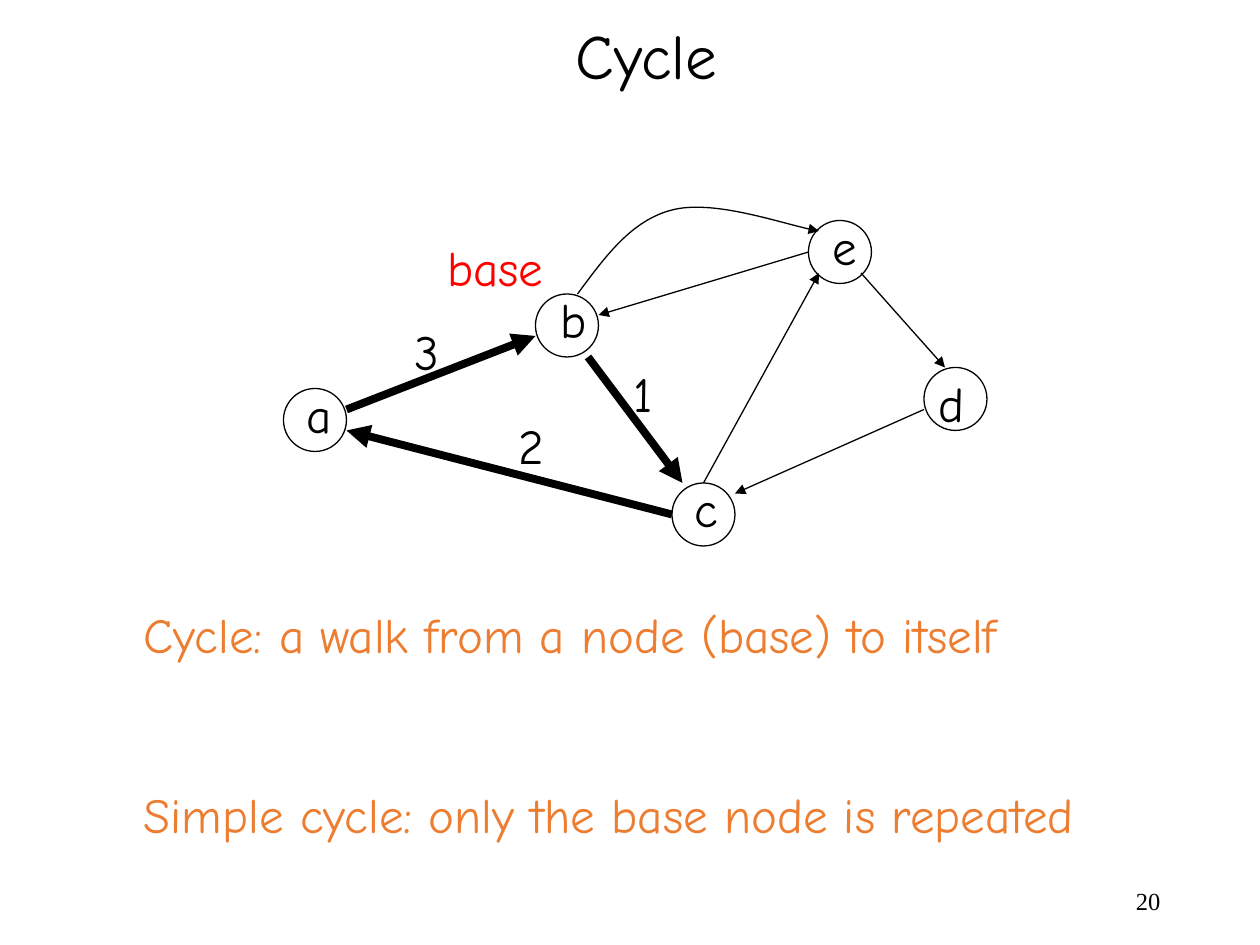
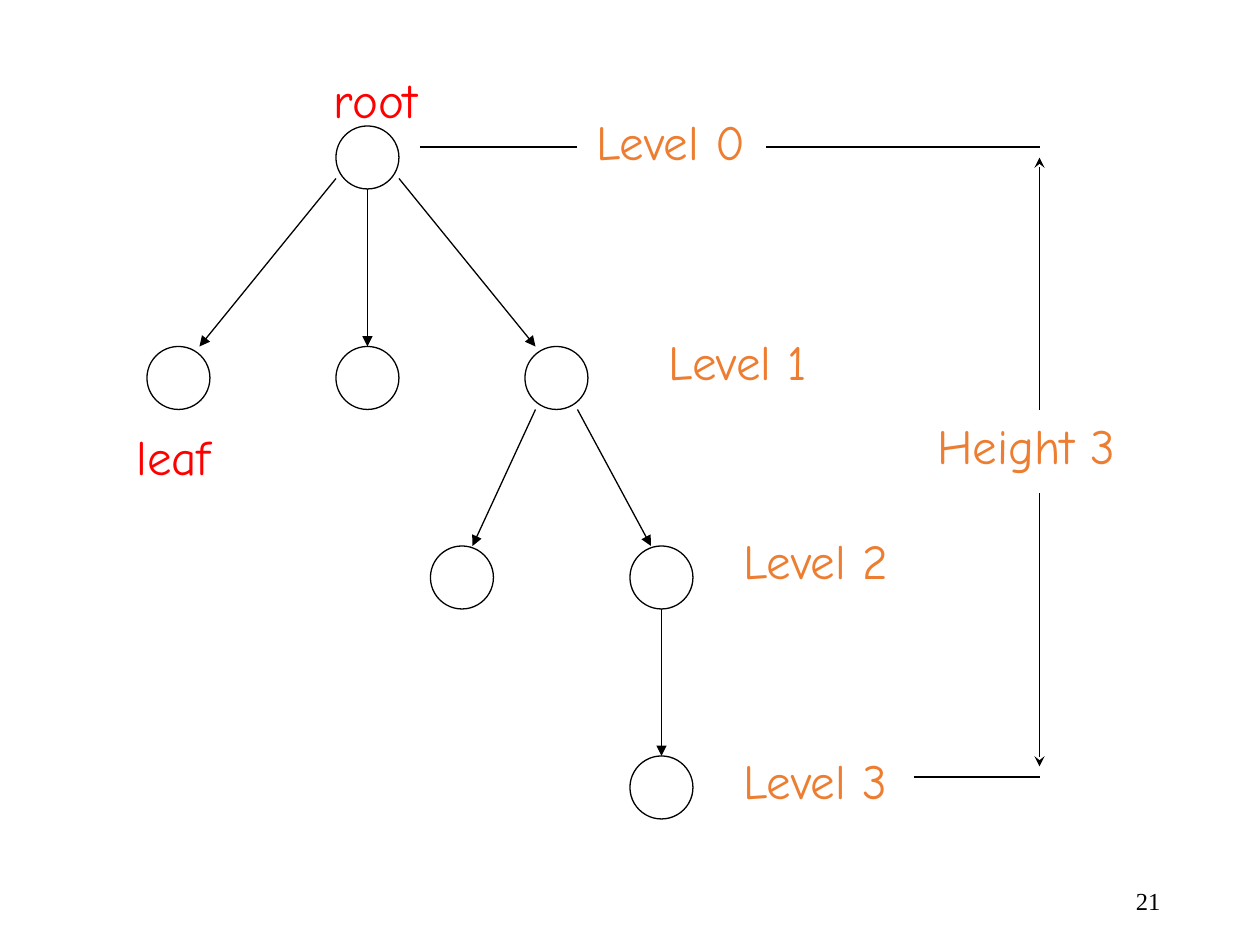
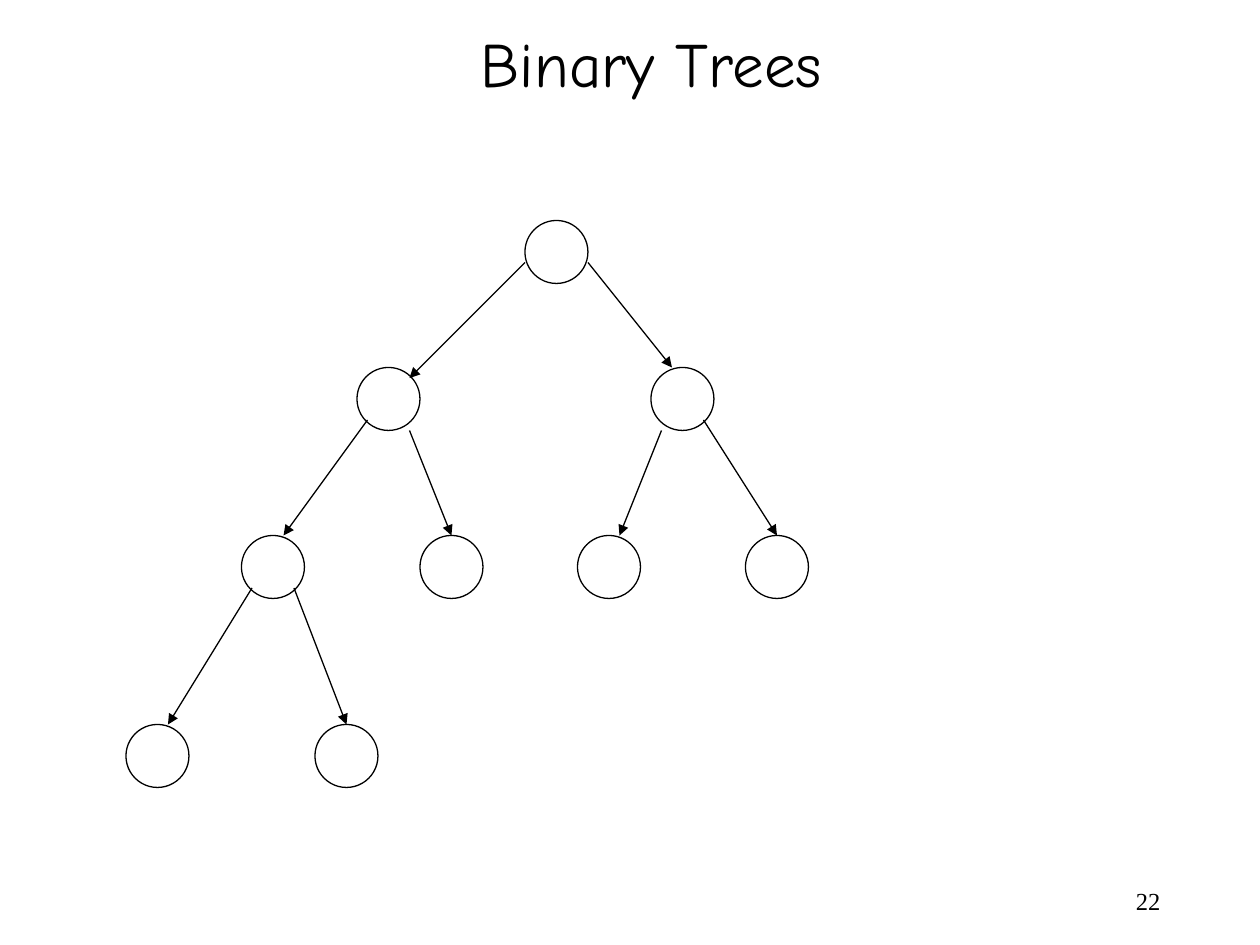
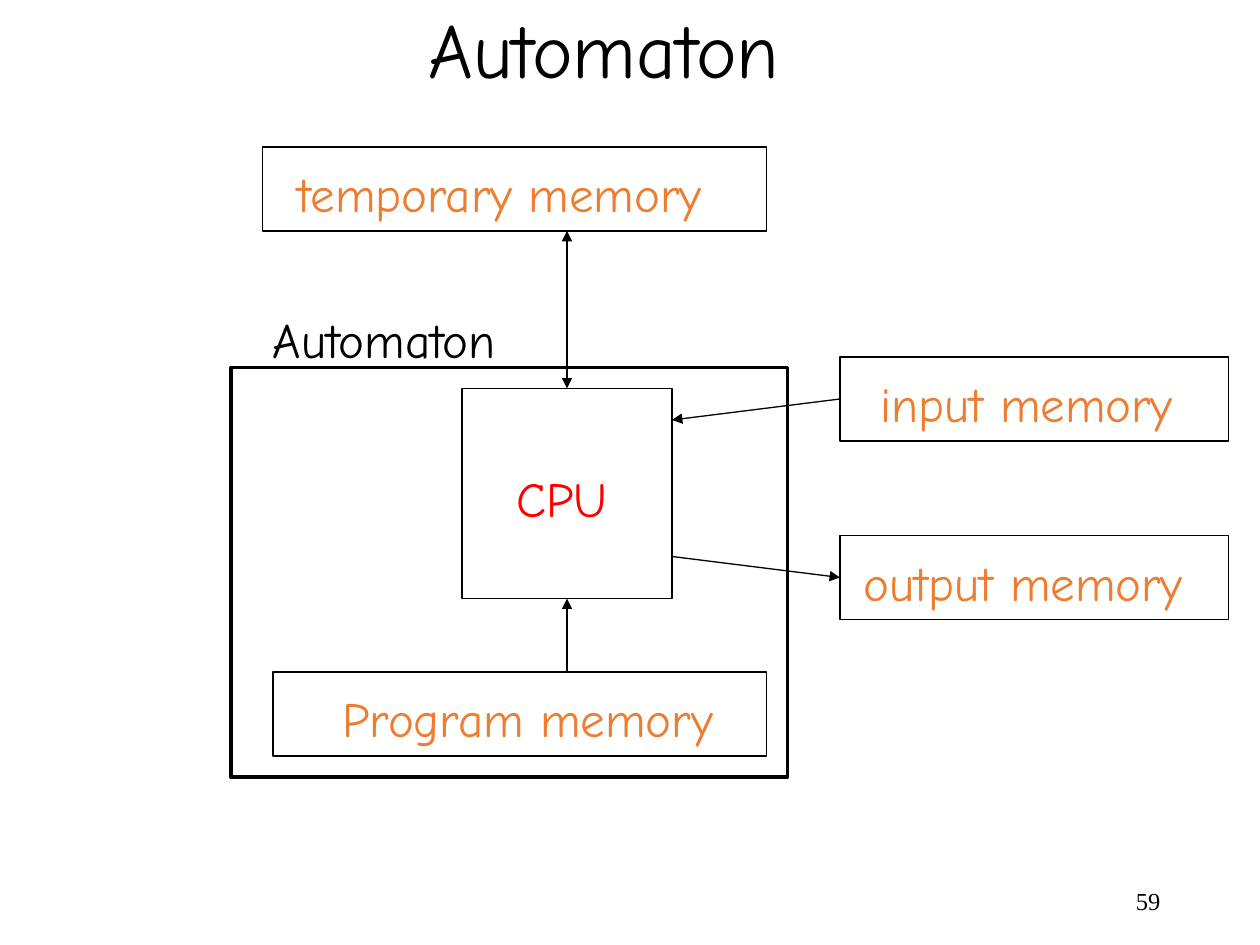
from dataclasses import dataclass
from typing import NamedTuple

from lxml import etree
from pptx import Presentation
from pptx.dml.color import RGBColor
from pptx.enum.shapes import MSO_CONNECTOR, MSO_SHAPE
from pptx.enum.text import MSO_ANCHOR, MSO_AUTO_SIZE, PP_ALIGN
from pptx.oxml.ns import qn
from pptx.util import Emu, Pt

OVAL, RECT = MSO_SHAPE.OVAL, MSO_SHAPE.RECTANGLE
LINE = MSO_CONNECTOR.STRAIGHT
LEFT, RIGHT = PP_ALIGN.LEFT, PP_ALIGN.RIGHT
TOP, MIDDLE = MSO_ANCHOR.TOP, MSO_ANCHOR.MIDDLE
GROW, FIXED = MSO_AUTO_SIZE.SHAPE_TO_FIT_TEXT, MSO_AUTO_SIZE.NONE

# Layouts of the default template
FULL, TITLED, BLANK = 1, 5, 6

SCALE = 7620  # EMU in one px: 120 px to the inch
WIDE, HIGH = 1200, 900
NODE = 60     # diameter of a node
SLACK = 4     # spare width that keeps a label on one line


@dataclass(frozen=True)
class Theme:
    ink: RGBColor = RGBColor(0, 0, 0)
    note: RGBColor = RGBColor(0xED, 0x7D, 0x31)
    mark: RGBColor = RGBColor(0xFF, 0, 0)
    face: str = "Comic Neue"
    page_face: str = "Times New Roman"
    title: int = 36
    large: int = 44
    text: int = 28
    page: int = 14
    thin: float = 0.75
    frame: float = 2
    bold: float = 4.5
    gap: float = 69  # space between the two body lines


THEME = Theme()


class Area(NamedTuple):
    x: int
    y: int
    w: int
    h: int


PAGE = Area(847, 834, 270, 48)


class Label(NamedTuple):
    text: str
    x: int
    y: int
    w: int
    color: RGBColor = THEME.ink
    size: int = THEME.text


class Edge(NamedTuple):
    x1: int
    y1: int
    x2: int
    y2: int
    width: float = THEME.thin
    head: str = ""
    tail: str = "triangle"


def px(n: int) -> Emu:
    return Emu(n * SCALE)


# Text
def span(label: Label) -> Area:
    """Area of a one-line text."""
    return Area(label.x, label.y, label.w + SLACK, 2 * label.size + 12)


def place(shape, area: Area) -> None:
    shape.left, shape.top, shape.width, shape.height = map(px, area)


def write(shape, lines: list[str], size: int, color: RGBColor,
          face: str = THEME.face, align=LEFT, anchor=TOP, fit=GROW) -> None:
    frame = shape.text_frame
    frame.text = "\n".join(lines)
    frame.word_wrap = fit == FIXED
    frame.auto_size = fit
    frame.vertical_anchor = anchor
    for i, para in enumerate(frame.paragraphs):
        para.alignment = align
        para.space_before = Pt(THEME.gap if i else 0)
        para.font.size = Pt(size)
        para.font.name = face
        para.font.color.rgb = color


def add_label(slide, label: Label) -> None:
    box = slide.shapes.add_textbox(*map(px, span(label)))
    write(box, [label.text], label.size, label.color)


def add_body(slide, area: Area, lines: list[str]) -> None:
    body = slide.placeholders[1]
    place(body, area)
    write(body, lines, THEME.text, THEME.note)
    for para in body.text_frame.paragraphs:
        props = para._p.get_or_add_pPr()
        props.set("marL", "0")
        props.set("indent", "0")
        bullet = etree.Element(qn("a:buNone"))
        props.find(qn("a:spcBef")).addnext(bullet)


def add_slide(deck, layout: int, page: int, title: Label | None = None):
    slide = deck.slides.add_slide(deck.slide_layouts[layout])
    if title:
        head = slide.shapes.title
        place(head, span(title))
        write(head, [title.text], title.size, title.color)
    box = slide.shapes.add_textbox(*map(px, PAGE))
    write(box, [str(page)], THEME.page, THEME.ink, THEME.page_face,
          RIGHT, MIDDLE, FIXED)
    return slide


# Lines and outlines
def stroke(shape, width: float, head: str = "", tail: str = "") -> None:
    shape.line.color.rgb = THEME.ink
    shape.line.width = Pt(width)
    ln = shape.line._get_or_add_ln()
    for tag, kind in (("a:headEnd", head), ("a:tailEnd", tail)):
        if kind:
            etree.SubElement(ln, qn(tag), type=kind)


def add_shape(slide, kind, area: Area, width: float = THEME.thin) -> None:
    shape = slide.shapes.add_shape(kind, *map(px, area))
    shape.shadow.inherit = False
    shape.fill.background()
    stroke(shape, width)


def add_nodes(slide, spots: list[tuple[int, int]]) -> None:
    for x, y in spots:
        add_shape(slide, OVAL, Area(x, y, NODE, NODE))


def add_edge(slide, edge: Edge) -> None:
    ends = map(px, (edge.x1, edge.y1, edge.x2, edge.y2))
    line = slide.shapes.add_connector(LINE, *ends)
    stroke(line, edge.width, edge.head, edge.tail)
    etree.SubElement(line._element.spPr, qn("a:effectLst"))


def add_curve(slide, start: tuple[int, int],
              points: list[tuple[int, int]]) -> None:
    """Draw Bezier arcs; each takes three of the points."""
    pen = slide.shapes.build_freeform(*start, scale=SCALE)
    pen.add_line_segments(points, close=False)
    curve = pen.convert_to_shape()
    curve.shadow.inherit = False
    curve.fill.background()
    stroke(curve, THEME.thin, tail="triangle")
    steps = list(curve._element.iter(qn("a:lnTo")))
    for i in range(0, len(steps), 3):
        arc = etree.Element(qn("a:cubicBezTo"))
        steps[i].addprevious(arc)
        for step in steps[i:i + 3]:
            arc.append(step[0])
            step.getparent().remove(step)


def draw(slide, edges: list[Edge], labels: list[Label]) -> None:
    for edge in edges:
        add_edge(slide, edge)
    for label in labels:
        add_label(slide, label)


# Slides
def cycle(deck) -> None:
    slide = add_slide(deck, FULL, 20,
                      Label("Cycle", 536, 10, 160, size=THEME.title))
    add_body(slide, Area(125, 570, 932, 239), [
        "Cycle: a walk from a node (base) to itself",
        "Simple cycle: only the base node is repeated"])
    add_nodes(slide, [(640, 460), (510, 280), (880, 350),
                      (270, 370), (770, 210)])
    draw(slide, [
        Edge(330, 390, 510, 320, THEME.bold),
        Edge(560, 340, 650, 460, THEME.bold),
        Edge(640, 490, 330, 410, THEME.bold),
        Edge(670, 460, 780, 260),
        Edge(880, 390, 700, 470),
        Edge(820, 260, 900, 350),
        Edge(770, 240, 570, 300),
    ], [
        Label("a", 280, 360, 48),
        Label("b", 522, 270, 49),
        Label("c", 650, 450, 46),
        Label("d", 882, 350, 48),
        Label("e", 781, 200, 47),
        Label("1", 592, 340, 42),
        Label("2", 482, 390, 48),
        Label("3", 383, 300, 47),
        Label("base", 414, 220, 115, THEME.mark),
    ])
    add_curve(slide, (550, 280), [(576, 245), (601, 210), (640, 200),
                                  (678, 190), (751, 215), (780, 220)])


def levels(deck) -> None:
    slide = add_slide(deck, BLANK, 21)
    add_nodes(slide, [(320, 120), (140, 330), (320, 330), (500, 330),
                      (410, 520), (600, 520), (600, 720)])
    draw(slide, [
        Edge(320, 170, 190, 330),
        Edge(350, 180, 350, 330),
        Edge(380, 170, 510, 330),
        Edge(510, 390, 450, 520),
        Edge(550, 390, 620, 520),
        Edge(630, 580, 630, 720),
        # Height bracket
        Edge(400, 140, 550, 140, tail=""),
        Edge(730, 140, 990, 140, tail=""),
        Edge(870, 740, 990, 740, tail=""),
        Edge(990, 150, 990, 390, head="stealth", tail=""),
        Edge(990, 730, 990, 470, head="stealth", tail=""),
    ], [
        Label("root", 306, 60, 104, THEME.mark),
        Label("leaf", 118, 400, 95, THEME.mark),
        Label("Height 3", 881, 390, 193, THEME.note),
    ])
    spots = [(556, 100, 167), (625, 310, 157), (696, 499, 163),
             (696, 709, 162)]
    for i, spot in enumerate(spots):
        add_label(slide, Label(f"Level {i}", *spot, THEME.note))


def binary(deck) -> None:
    slide = add_slide(deck, TITLED, 22,
                      Label("Binary Trees", 446, 17, 349, size=THEME.title))
    rows = {210: [500], 350: [340, 620], 510: [230, 400, 550, 710],
            690: [120, 300]}
    add_nodes(slide, [(x, y) for y, row in rows.items() for x in row])
    draw(slide, [
        Edge(500, 250, 390, 360),
        Edge(560, 250, 640, 350),
        Edge(350, 400, 270, 510),
        Edge(390, 410, 430, 510),
        Edge(630, 410, 590, 510),
        Edge(670, 400, 740, 510),
        Edge(240, 560, 160, 690),
        Edge(280, 560, 330, 690),
    ], [])


def machine(deck) -> None:
    slide = add_slide(deck, TITLED, 59,
                      Label("Automaton", 396, -5, 362, size=THEME.large))
    for area in (Area(440, 370, 200, 200), Area(250, 140, 480, 80),
                 Area(800, 340, 370, 80), Area(800, 510, 370, 80),
                 Area(260, 640, 470, 80)):
        add_shape(slide, RECT, area)
    add_shape(slide, RECT, Area(220, 350, 530, 390), THEME.frame)
    draw(slide, [
        Edge(540, 220, 540, 370, head="triangle"),
        Edge(640, 400, 800, 380, head="triangle", tail=""),
        Edge(640, 530, 800, 550),
        Edge(540, 570, 540, 640, head="triangle", tail=""),
    ], [
        Label("CPU", 480, 440, 110, THEME.mark),
        Label("input memory", 827, 350, 302, THEME.note),
        Label("output memory", 811, 520, 328, THEME.note),
        Label("Program memory", 314, 650, 379, THEME.note),
        Label("temporary memory", 272, 150, 410, THEME.note),
        Label("Automaton", 248, 289, 239),
    ])


def main() -> None:
    deck = Presentation()
    deck.slide_width, deck.slide_height = px(WIDE), px(HIGH)
    for build in (cycle, levels, binary, machine):
        build(deck)
    deck.save("out.pptx")


if __name__ == "__main__":
    main()
